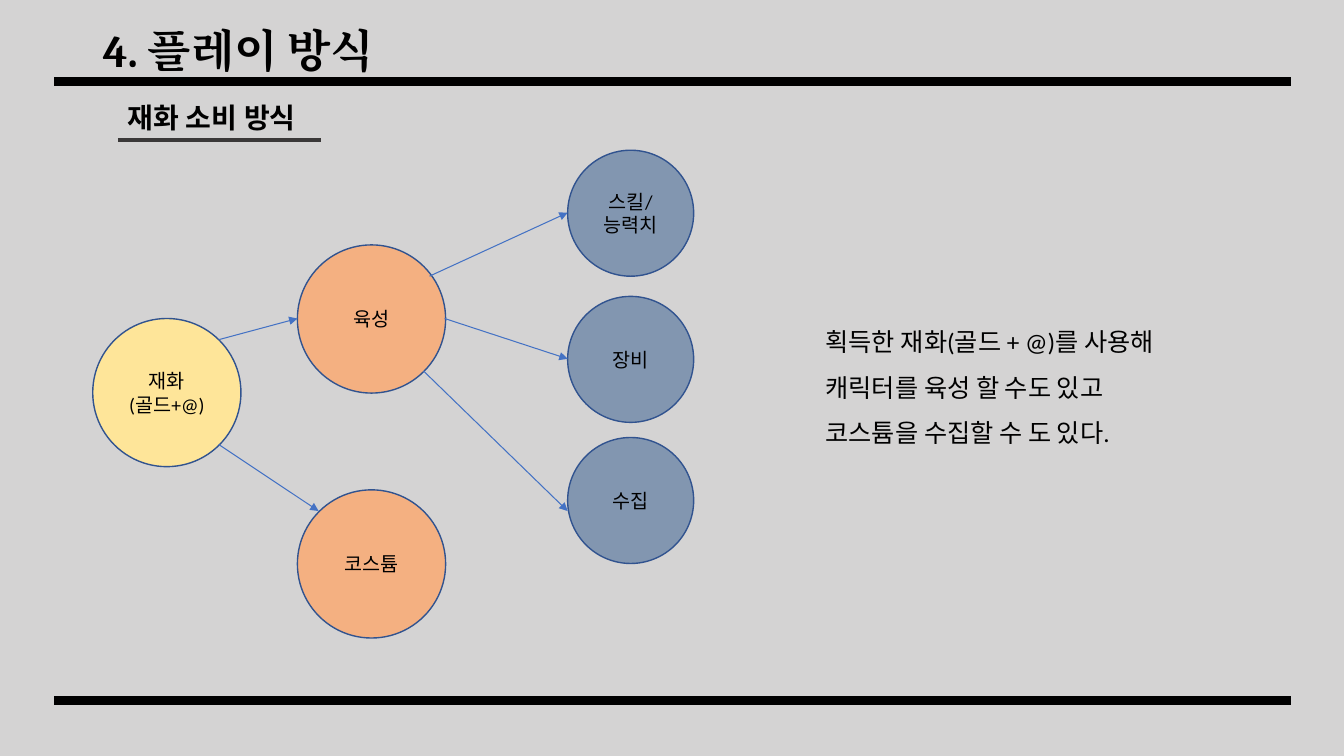
from lxml import etree
from pptx import Presentation
from pptx.dml.color import RGBColor
from pptx.enum.shapes import MSO_CONNECTOR, MSO_SHAPE
from pptx.enum.text import MSO_ANCHOR, PP_ALIGN
from pptx.oxml.ns import qn
from pptx.util import Inches, Pt

STRAIGHT = MSO_CONNECTOR.STRAIGHT
OVAL = MSO_SHAPE.OVAL
MIDDLE = MSO_ANCHOR.MIDDLE
LEFT, CENTER = PP_ALIGN.LEFT, PP_ALIGN.CENTER

YELLOW, ORANGE, SLATE = "FEE599", "F4B081", "8296B0"
BLUE, NAVY, BLACK = "4472C4", "31538F", "000000"


def color(code):
    return RGBColor.from_string(code)


def write(shape, text, size, font="Calibri", bold=False, align=LEFT, space=1.0):
    """Fill the shape with text, one font for Latin and Korean letters."""
    frame = shape.text_frame
    frame.word_wrap = True
    frame.text = text
    for para in frame.paragraphs:
        para.alignment = align
        para.line_spacing = space
        for run in para.runs:
            run.font.name = font
            run.font.size = Pt(size)
            run.font.bold = bold
            run.font.color.rgb = color(BLACK)
            etree.SubElement(run.font._element, qn("a:ea"), typeface=font)


deck = Presentation()
deck.slide_width = Inches(13.33)
deck.slide_height = Inches(7.5)
slide = deck.slides.add_slide(deck.slide_layouts[5])
slide.background.fill.solid()
slide.background.fill.fore_color.rgb = color("D4D3D3")
shapes = slide.shapes

# Title and text
title = shapes.title
title.left, title.top = Inches(0.92), Inches(0.22)
title.width, title.height = Inches(11.5), Inches(0.62)
write(title, "4. 플레이 방식", 32, "Cambria", True, space=0.9)
title.text_frame.vertical_anchor = MIDDLE

head = shapes.add_textbox(Inches(1.17), Inches(0.95), Inches(2.01), Inches(0.44))
write(head, "재화 소비 방식", 20, bold=True)

note = shapes.add_textbox(Inches(8.09), Inches(3.04), Inches(3.6), Inches(1.41))
write(note, "획득한 재화(골드 + @)를 사용해\n캐릭터를 육성 할 수도 있고\n코스튬을 수집할 수 도 있다.",
      18, space=1.5)

# Circles: text, left, top, diameter, fill
circles = [
    ("재화\n(골드+@)", 0.92, 3.16, 1.47, YELLOW),
    ("육성", 2.95, 2.43, 1.47, ORANGE),
    ("코스튬", 2.95, 4.86, 1.47, ORANGE),
    ("스킬/\v능력치", 5.63, 1.49, 1.25, SLATE),
    ("장비", 5.63, 2.94, 1.25, SLATE),
    ("수집", 5.63, 4.34, 1.25, SLATE),
]
for text, left, top, size, fill in circles:
    ball = shapes.add_shape(OVAL, Inches(left), Inches(top), Inches(size), Inches(size))
    ball.shadow.inherit = False
    ball.fill.solid()
    ball.fill.fore_color.rgb = color(fill)
    ball.line.color.rgb = color(NAVY)
    ball.line.width = Pt(1)
    write(ball, text, 14, align=CENTER)
    frame = ball.text_frame
    frame.vertical_anchor = MIDDLE
    frame.margin_left = frame.margin_right = Inches(0.12)

# Rules and arrows: start, end, colour, width, arrowhead
lines = [
    (0.54, 0.81, 12.8, 0.81, BLACK, 6, False),
    (0.54, 6.95, 12.8, 6.95, BLACK, 6, False),
    (1.17, 1.39, 3.18, 1.39, "3A3838", 2.75, False),
    (2.17, 3.37, 2.95, 3.16, BLUE, 0.75, True),
    (2.17, 4.41, 3.16, 5.07, BLUE, 0.75, True),
    (4.26, 2.74, 5.63, 2.11, BLUE, 0.75, True),
    (4.41, 3.16, 5.63, 3.56, BLUE, 0.75, True),
    (4.2, 3.68, 5.63, 5.07, BLUE, 0.75, True),
]
for x1, y1, x2, y2, tint, width, arrow in lines:
    line = shapes.add_connector(STRAIGHT, Inches(x1), Inches(y1), Inches(x2), Inches(y2))
    line.line.color.rgb = color(tint)
    line.line.width = Pt(width)
    if arrow:
        etree.SubElement(line.line._get_or_add_ln(), qn("a:tailEnd"), type="triangle")
    etree.SubElement(line._element.spPr, qn("a:effectLst"))

deck.save("out.pptx")
